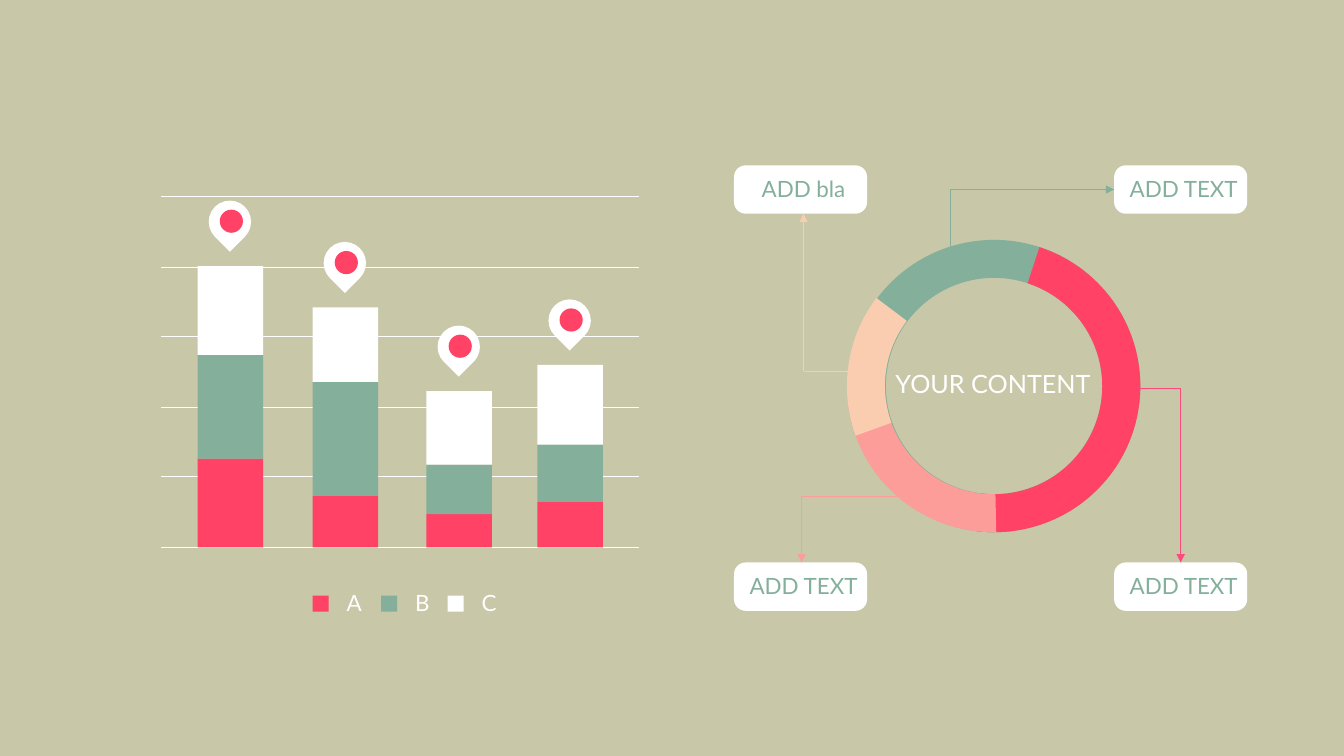
from itertools import pairwise

from lxml import etree
from pptx import Presentation, util as u
from pptx.dml.color import RGBColor
from pptx.enum import shapes, text
from pptx.oxml.ns import qn

PX = 9144  # EMU per px: 100 px to the inch
SHAPE = shapes.MSO_SHAPE
RED, GREEN, WHITE = "FF4266", "84AF9B", "FFFFFF"
PINK, PEACH, ROSE, SAND = "FC9D99", "FACDB0", "FC4A7E", "C8C7A8"


def px(length):
    return u.Emu(length * PX)


def rgb(value):
    return RGBColor.from_string(value)


class Canvas:
    font = "Lato"
    line_width = u.Pt(0.5)

    def __init__(self, slide):
        self.slide = slide

    def background(self, color):
        fill = self.slide.background.fill
        fill.solid()
        fill.fore_color.rgb = rgb(color)

    def shape(self, kind, left, top, width, height, color, rotation=0, adjust=()):
        shape = self.slide.shapes.add_shape(kind, *map(px, (left, top, width, height)))
        shape.shadow.inherit = False
        shape.fill.solid()
        shape.fill.fore_color.rgb = rgb(color)
        shape.line.fill.background()
        shape.rotation = rotation
        for index, value in enumerate(adjust):
            shape.adjustments[index] = value

    def label(self, words, left, top, width, height, color, size=16):
        box = self.slide.shapes.add_textbox(*map(px, (left, top, width, height)))
        frame = box.text_frame
        frame.word_wrap = True
        frame.auto_size = text.MSO_AUTO_SIZE.SHAPE_TO_FIT_TEXT
        paragraph = frame.paragraphs[0]
        paragraph.text = words
        paragraph.alignment = text.PP_ALIGN.CENTER
        paragraph.font.name = self.font
        paragraph.font.size = u.Pt(size)
        paragraph.font.color.rgb = rgb(color)

    def line(self, start, end, color, arrow=False):
        connector = self.slide.shapes.add_connector(
            shapes.MSO_CONNECTOR.STRAIGHT, *map(px, start + end))
        connector.line.width = self.line_width
        connector.line.color.rgb = rgb(color)
        properties = connector._element.spPr
        if arrow:
            outline = properties.find(qn("a:ln"))
            etree.SubElement(outline, qn("a:tailEnd"), type="triangle")
        etree.SubElement(properties, qn("a:effectLst"))

    def leader(self, points, color):
        for start, end in pairwise(points):
            self.line(start, end, color, arrow=end == points[-1])


def draw_ring(canvas):
    canvas.label("YOUR CONTENT", 870, 360, 230, 40, WHITE, size=18)
    canvas.shape(SHAPE.DONUT, 841, 238, 290, 290, GREEN, adjust=[0.13])
    # Start and end angles are in units of 5/3 degree
    for left, rotation, start, color in (
            (841, 285, 1.84, RED), (840, 0, 53.25, PINK), (840, 45, 69.08, PEACH)):
        canvas.shape(SHAPE.BLOCK_ARC, left, 238, 290, 290, color, rotation,
                     adjust=[start, 103.22, 0.13])

    # Callouts
    for words, left, top in (("ADD bla", 728, 164), ("ADD TEXT", 1105, 164),
                             ("ADD TEXT", 728, 558), ("ADD TEXT", 1105, 558)):
        canvas.shape(SHAPE.ROUNDED_RECTANGLE, left, top, 132, 48, WHITE, adjust=[0.24])
        canvas.label(words, left - 5, top + 5, 148, 37, GREEN)

    # Leader lines from ring to callouts
    canvas.leader([(943, 248), (943, 188), (1105, 188)], GREEN)
    canvas.leader([(841, 368), (797, 368), (797, 212)], PEACH)
    canvas.leader([(892, 492), (795, 492), (795, 558)], PINK)
    canvas.leader([(1130, 385), (1171, 385), (1171, 558)], ROSE)


def draw_bars(canvas):
    # Grid lines
    grid_top, baseline, gaps = 195, 543, 5
    for step in range(gaps + 1):
        y = round(grid_top + step * (baseline - grid_top) / gaps)
        canvas.line((160, y), (634, y), WHITE)

    # Stacked bars, each with a pin above
    for left, *tops in ((196, 455, 352, 264), (310, 492, 379, 305),
                        (423, 510, 461, 388), (533, 498, 441, 362)):
        for (bottom, top), color in zip(pairwise([baseline, *tops]), (RED, GREEN, WHITE)):
            canvas.shape(SHAPE.RECTANGLE, left, top, 65, bottom - top, color)
        pin_top = tops[-1] - 65
        canvas.shape(SHAPE.TEAR, left + 11, pin_top, 42, 42, WHITE, rotation=135)
        canvas.shape(SHAPE.OVAL, left + 22, pin_top + 9, 23, 23, RED)

    # Legend
    for name, left, color in (("A", 310, RED), ("B", 378, GREEN), ("C", 444, WHITE)):
        canvas.shape(SHAPE.RECTANGLE, left, 591, 16, 16, color)
        canvas.label(name, left + 24, 580, 30, 37, WHITE)


def main():
    presentation = Presentation()
    presentation.slide_width, presentation.slide_height = px(1333), px(750)
    blank_layout = presentation.slide_layouts[6]
    canvas = Canvas(presentation.slides.add_slide(blank_layout))
    canvas.background(SAND)
    draw_ring(canvas)
    draw_bars(canvas)
    presentation.save("out.pptx")


if __name__ == "__main__":
    main()
